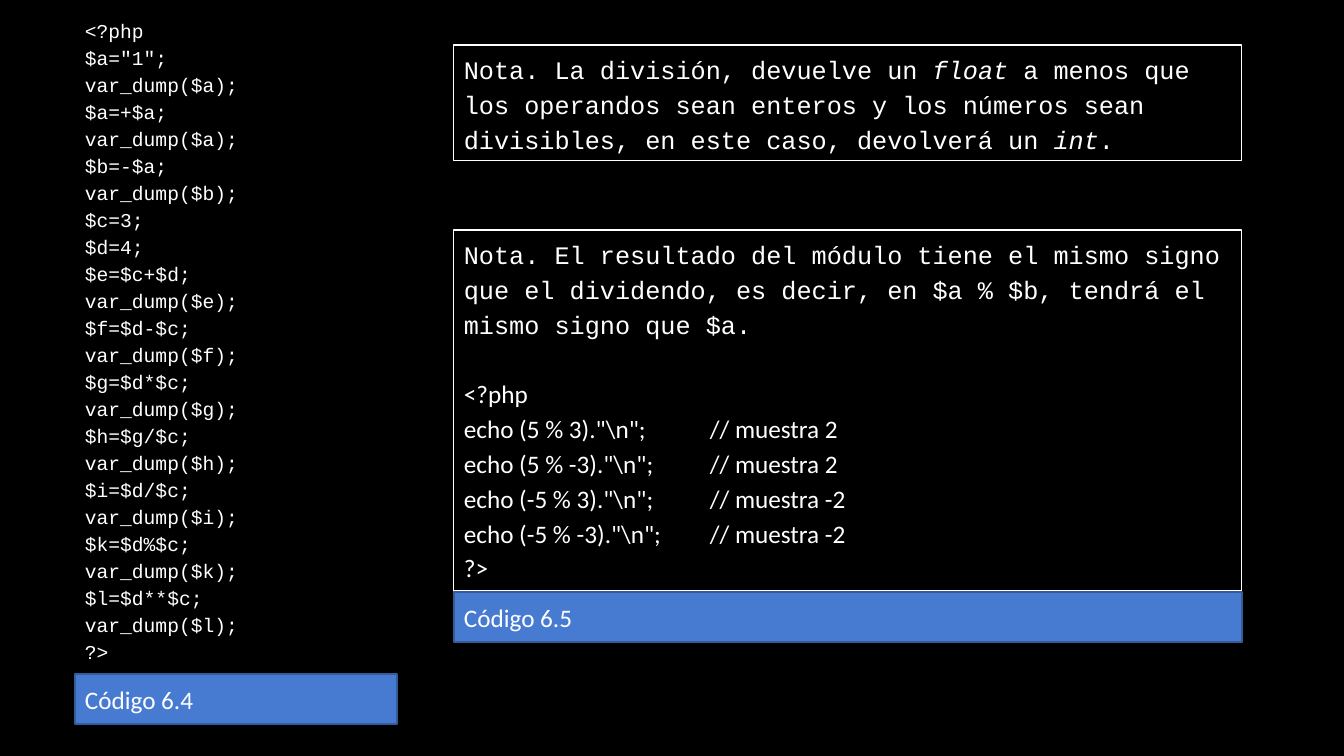
"""Build the slide on PHP arithmetic operators, with two code listings and notes."""
from dataclasses import dataclass

from lxml import etree
from pptx import Presentation
from pptx.dml.color import RGBColor
from pptx.enum.shapes import MSO_SHAPE
from pptx.enum.text import MSO_ANCHOR, MSO_AUTO_SIZE, PP_ALIGN
from pptx.oxml.ns import qn
from pptx.util import Emu, Pt

RECTANGLE = MSO_SHAPE.RECTANGLE
TOP, MIDDLE = MSO_ANCHOR.TOP, MSO_ANCHOR.MIDDLE
GROW, FIXED = MSO_AUTO_SIZE.SHAPE_TO_FIT_TEXT, MSO_AUTO_SIZE.NONE
LEFT = PP_ALIGN.LEFT

SLIDE_WIDTH, SLIDE_HEIGHT = 1344, 756
EMU_PER_PX = 12192000 / SLIDE_WIDTH
COMMENT_TAB = 246
MONO, SANS = "Courier New", "Calibri"
COLORS = {
    "black": "000000",
    "white": "FFFFFF",
    "caption": "477BD1",
    "caption_edge": "355B9B",
}

OPERATORS_CODE = """<?php
$a="1";
var_dump($a);
$a=+$a;
var_dump($a);
$b=-$a;
var_dump($b);
$c=3;
$d=4;
$e=$c+$d;
var_dump($e);
$f=$d-$c;
var_dump($f);
$g=$d*$c;
var_dump($g);
$h=$g/$c;
var_dump($h);
$i=$d/$c;
var_dump($i);
$k=$d%$c;
var_dump($k);
$l=$d**$c;
var_dump($l);
?>"""
MODULO_CASES = [("5 % 3", "2"), ("5 % -3", "2"), ("-5 % 3", "-2"), ("-5 % -3", "-2")]


@dataclass(frozen=True)
class Run:
    text: str
    italic: bool = False


@dataclass(frozen=True)
class Line:
    runs: tuple[Run, ...]
    font: str = MONO
    size: int = 18
    spacing: float = 1.15
    before: int = 0


@dataclass(frozen=True)
class Panel:
    left: int
    top: int
    width: int
    height: int
    lines: tuple[Line, ...]
    fill: str = "black"
    edge: str = ""
    edge_width: float = 0.75
    anchor: MSO_ANCHOR = TOP
    autosize: MSO_AUTO_SIZE = GROW


def px(length: int) -> Emu:
    return Emu(round(length * EMU_PER_PX))


def rgb(name: str) -> RGBColor:
    return RGBColor.from_string(COLORS[name])


def plain(text: str, **formats) -> Line:
    return Line((Run(text),), **formats)


def caption(left: int, top: int, width: int, text: str) -> Panel:
    return Panel(left, top, width, 50, (plain(text, font=SANS, spacing=1.0),),
                 "caption", "caption_edge", 1.5, MIDDLE, FIXED)


def write_line(paragraph, line: Line) -> None:
    formats = {"alignment": LEFT, "line_spacing": line.spacing,
               "space_before": Pt(line.before)}
    for name, value in formats.items():
        setattr(paragraph, name, value)
    if any("\t" in run.text for run in line.runs):
        tabs = etree.SubElement(paragraph._p.get_or_add_pPr(), qn("a:tabLst"))
        etree.SubElement(tabs, qn("a:tab"), pos=str(px(COMMENT_TAB)), algn="l")
    for part in line.runs:
        run = paragraph.add_run()
        run.text = part.text
        font_formats = {"name": line.font, "size": Pt(line.size), "italic": part.italic}
        for name, value in font_formats.items():
            setattr(run.font, name, value)
        run.font.color.rgb = rgb("white")


def draw_panel(shapes, panel: Panel) -> None:
    box = shapes.add_shape(RECTANGLE, px(panel.left), px(panel.top),
                           px(panel.width), px(panel.height))
    box.shadow.inherit = False
    box.fill.solid()
    box.fill.fore_color.rgb = rgb(panel.fill)
    if panel.edge:
        box.line.color.rgb = rgb(panel.edge)
        box.line.width = Pt(panel.edge_width)
    else:
        box.line.fill.background()
    frame = box.text_frame
    formats = {"word_wrap": True, "auto_size": panel.autosize,
               "vertical_anchor": panel.anchor}
    for name, value in formats.items():
        setattr(frame, name, value)
    for index, line in enumerate(panel.lines):
        write_line(frame.add_paragraph() if index else frame.paragraphs[0], line)


def main() -> None:
    deck = Presentation()
    deck.slide_width, deck.slide_height = px(SLIDE_WIDTH), px(SLIDE_HEIGHT)
    slide = deck.slides.add_slide(deck.slide_layouts[6])
    slide.background.fill.solid()
    slide.background.fill.fore_color.rgb = rgb("black")

    operators = Panel(75, 10, 322, 664, tuple(
        plain(code, size=14) for code in OPERATORS_CODE.splitlines()))
    division_note = Panel(454, 45, 788, 116, (Line((
        Run("Nota. La división, devuelve un "),
        Run("float", italic=True),
        Run(" a menos que los operandos sean enteros y los números sean "
            "divisibles, en este caso, devolverá un "),
        Run("int", italic=True),
        Run("."),
    )),), edge="white")
    modulo_note = Panel(454, 230, 788, 361, (
        plain("Nota. El resultado del módulo tiene el mismo signo que el dividendo, "
              "es decir, en $a % $b, tendrá el mismo signo que $a."),
        plain("<?php", font=SANS, before=25),
        *(plain(f'echo ({operation})."\\n";\t// muestra {result}', font=SANS)
          for operation, result in MODULO_CASES),
        plain("?>", font=SANS),
    ), edge="white")

    listings = [
        (operators, caption(75, 674, 322, "Código 6.4")),
        (modulo_note, caption(454, 592, 788, "Código 6.5")),
    ]
    draw_panel(slide.shapes, division_note)
    for listing in listings:
        group = slide.shapes.add_group_shape()
        for panel in listing:
            draw_panel(group.shapes, panel)
    deck.save("out.pptx")


if __name__ == "__main__":
    main()
